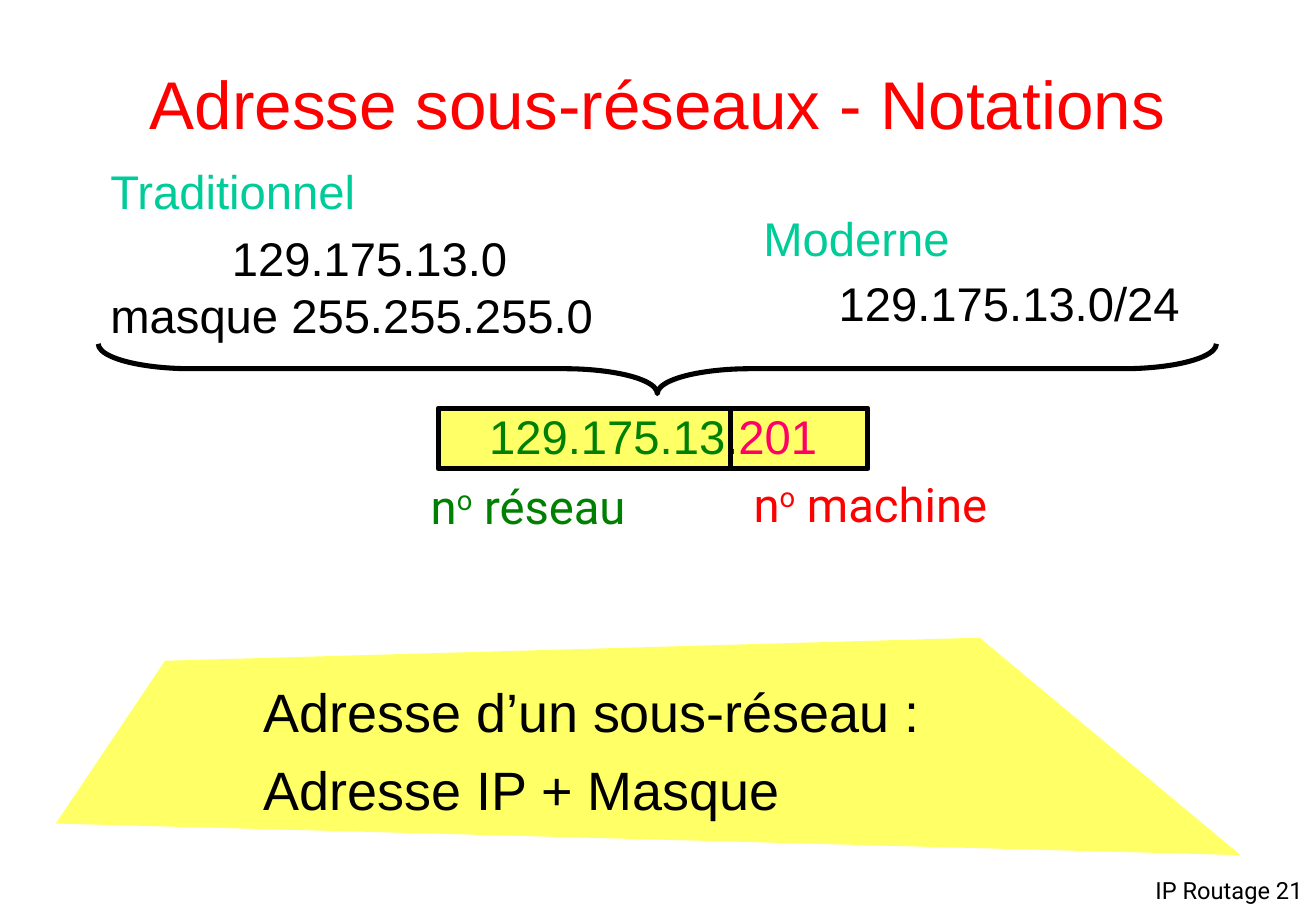
from pptx import Presentation
from pptx.dml.color import RGBColor
from pptx.enum.shapes import MSO_CONNECTOR, MSO_SHAPE
from pptx.enum.text import MSO_ANCHOR, MSO_AUTO_SIZE, PP_ALIGN
from pptx.oxml.ns import qn
from pptx.util import Inches, Pt
from lxml.etree import SubElement

BLACK = RGBColor(0x00, 0x00, 0x00)
RED = RGBColor(0xFF, 0x00, 0x00)
PINK = RGBColor(0xFF, 0x00, 0x66)
GREEN = RGBColor(0x00, 0x80, 0x00)
TEAL = RGBColor(0x00, 0xCC, 0x99)
YELLOW = RGBColor(0xFF, 0xFF, 0x66)


def format_span(span, colour, size, font):
    """Give one run its font, size and colour."""
    span.font.name = font
    span.font.size = Pt(size)
    span.font.color.rgb = colour


def write_line(para, text, colour, size=28, font="Arial", before=0, indent=0, spacing=0.96):
    """Write a paragraph in one colour, without bullet and with a first-line indent."""
    para.text = text
    para.space_before = Pt(before)
    para.line_spacing = spacing
    properties = para._p.get_or_add_pPr()
    properties.set("marL", "0")
    properties.set("indent", str(Inches(indent)))
    SubElement(properties, qn("a:buNone"))
    for span in para.runs:
        format_span(span, colour, size, font)


def add_span(para, text, colour, font="Arial", raised=False):
    """Append a run to a paragraph, raised if it is a superscript."""
    span = para.add_run()
    span.text = text
    format_span(span, colour, 28, font)
    if raised:
        span.font._element.set("baseline", "30000")


def place(box, left, top, width, height):
    """Move and size a shape."""
    box.left, box.top = Inches(left), Inches(top)
    box.width, box.height = Inches(width), Inches(height)


def add_text_box(page, left, top, width, height):
    """Add a wrapping text box and return its text frame."""
    box = page.shapes.add_textbox(Inches(left), Inches(top), Inches(width), Inches(height))
    box.text_frame.word_wrap = True
    return box.text_frame


def add_number_label(page, left, top, width, word, colour):
    """Add a label that reads nº followed by a word."""
    para = add_text_box(page, left, top, width, 0.55).paragraphs[0]
    para.line_spacing = 0.96
    add_span(para, "n", colour, "Roboto")
    add_span(para, "o", colour, "Roboto", raised=True)
    add_span(para, f" {word}", colour, "Roboto")


def draw_line(shape):
    """Give a shape or connector the thick black line."""
    shape.line.color.rgb = BLACK
    shape.line.width = Pt(3)


def fill_yellow(shape):
    """Fill a shape with plain yellow."""
    shape.shadow.inherit = False
    shape.fill.solid()
    shape.fill.fore_color.rgb = YELLOW


def add_summary(page):
    """Add the slanted yellow panel and its two lines."""
    builder = page.shapes.build_freeform(Inches(1.36), Inches(5.44))
    corners = [(0.46, 6.78), (10.22, 7.04), (8.07, 5.25)]
    builder.add_line_segments([(Inches(x), Inches(y)) for x, y in corners], close=True)
    panel = builder.convert_to_shape()
    fill_yellow(panel)
    panel.line.fill.background()
    frame = add_text_box(page, 2.07, 5.56, 5.78, 1.27)
    write_line(frame.paragraphs[0], "Adresse d’un sous-réseau :", BLACK, 32, before=7.9, spacing=0.99)
    write_line(frame.add_paragraph(), "Adresse IP + Masque", BLACK, 32, before=7.9, spacing=0.99)


def add_address(page):
    """Add the address field, split into network and machine parts."""
    field = page.shapes.add_shape(
        MSO_SHAPE.RECTANGLE, Inches(3.61), Inches(3.36), Inches(3.54), Inches(0.5))
    fill_yellow(field)
    draw_line(field)
    field.text_frame.vertical_anchor = MSO_ANCHOR.MIDDLE
    para = field.text_frame.paragraphs[0]
    para.alignment = PP_ALIGN.CENTER
    para.line_spacing = 0.96
    add_span(para, "129.175.13", GREEN)
    add_span(para, ".", BLACK)
    add_span(para, "201", PINK)
    divider = page.shapes.add_connector(
        MSO_CONNECTOR.STRAIGHT, Inches(6.02), Inches(3.36), Inches(6.02), Inches(3.86))
    draw_line(divider)
    SubElement(divider._element.spPr, qn("a:effectLst"))
    add_number_label(page, 3.45, 3.91, 2.57, "réseau", GREEN)
    add_number_label(page, 6.11, 3.89, 3.57, "machine", RED)


def add_brace(page):
    """Add the wide brace that points down to the address."""
    brace = page.shapes.add_shape(
        MSO_SHAPE.LEFT_BRACE, Inches(5.21), Inches(-1.57), Inches(0.41), Inches(9.21))
    brace.rotation = 270
    brace.adjustments[0] = 1.87
    brace.shadow.inherit = False
    brace.fill.background()
    draw_line(brace)


def add_notations(page):
    """Fill the title, the traditional notation and the modern one."""
    title, body = page.placeholders
    place(title, 0.81, 0.25, 9.21, 1.25)
    write_line(title.text_frame.paragraphs[0], "Adresse sous-réseaux - Notations", RED, 40)
    place(body, 0.81, 1.32, 4.52, 1.6)
    for frame in (title.text_frame, body.text_frame):
        frame.auto_size = MSO_AUTO_SIZE.NONE
    modern = add_text_box(page, 6.19, 1.7, 4.35, 1.09)
    write_line(body.text_frame.paragraphs[0], "Traditionnel", TEAL, before=5.9)
    write_line(body.text_frame.add_paragraph(), "129.175.13.0\vmasque 255.255.255.0",
               BLACK, before=4.9, indent=1, spacing=1.0)
    write_line(modern.paragraphs[0], "Moderne", TEAL, before=5.9)
    write_line(modern.add_paragraph(), "129.175.13.0/24", BLACK, before=5.9, indent=0.62, spacing=0.99)


def main():
    """Build the slide and save it."""
    deck = Presentation()
    deck.slide_width, deck.slide_height = Inches(10.84), Inches(7.5)
    page = deck.slides.add_slide(deck.slide_layouts[1])
    add_notations(page)
    add_summary(page)
    add_brace(page)
    add_address(page)
    footer = add_text_box(page, 8.96, 7.18, 1.87, 0.36).paragraphs[0]
    write_line(footer, "IP Routage 21", BLACK, 14, "Roboto")
    footer.alignment = PP_ALIGN.RIGHT
    deck.save("out.pptx")


if __name__ == "__main__":
    main()
